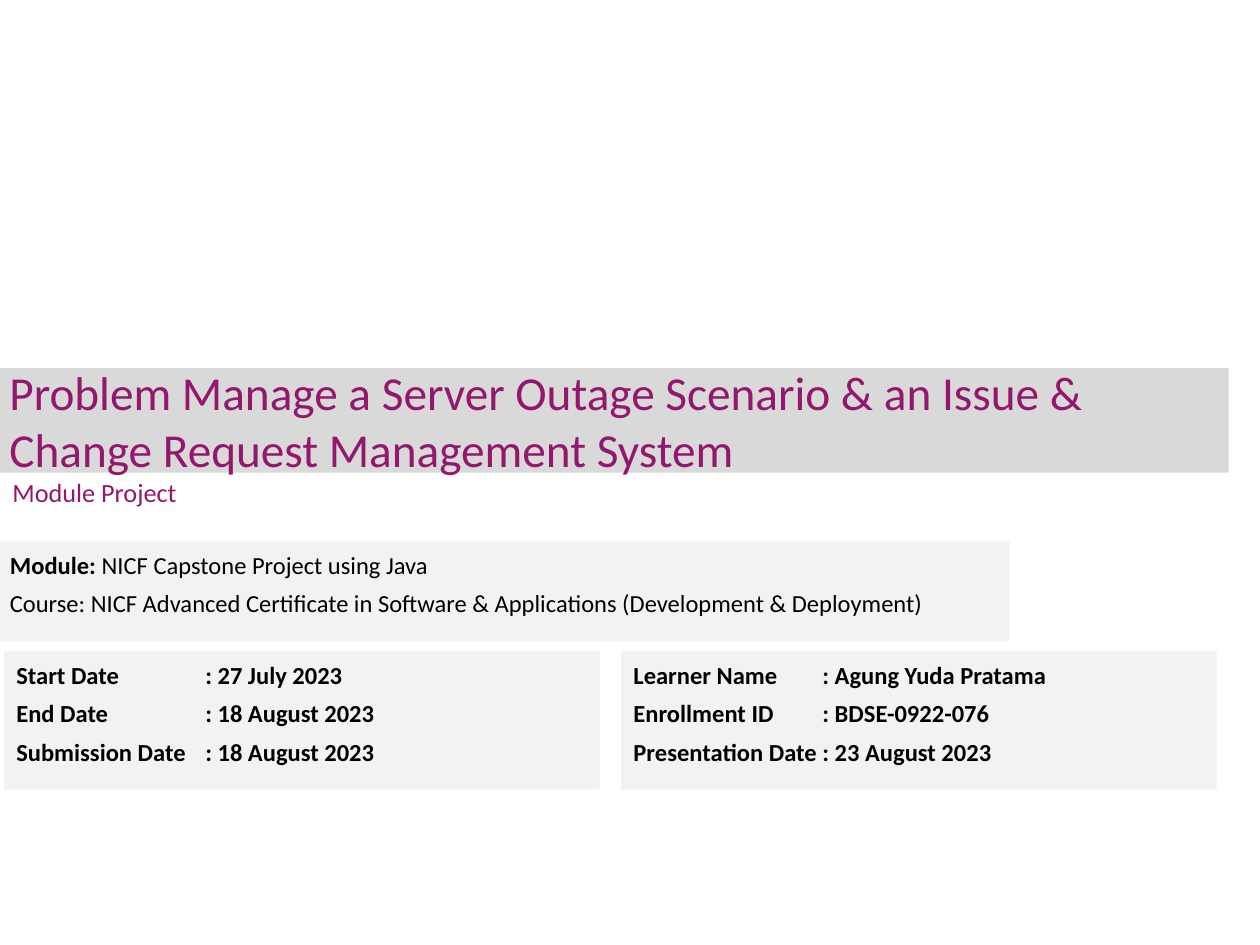
from lxml import etree
from pptx import Presentation
from pptx import util as u
from pptx.dml.color import RGBColor
from pptx.enum import shapes, text
from pptx.oxml.ns import qn

FONT = "Calibri"
PURPLE, BLACK = "93176C", "000000"
BAND_GREY, PANEL_GREY = "D9D9D9", "F2F2F2"
VALUE_TAB = u.Cm(3.81)
PANEL_TOP, PANEL_WIDTH, PANEL_HEIGHT = 13.13, 12.01, 2.79

DATES = [
    ("Start Date", ": 27 July 2023"),
    ("End Date", ": 18 August 2023"),
    ("Submission Date", ": 18 August 2023"),
]
LEARNER = [
    ("Learner Name", ": Agung Yuda Pratama"),
    ("Enrollment ID", ": BDSE-0922-076"),
    ("Presentation Date", ": 23 August 2023"),
]


def color(hex_code):
    return RGBColor.from_string(hex_code)


def add_run(paragraph, wording, size, hex_code, bold=False):
    run = paragraph.add_run()
    run.text = wording
    run.font.name = FONT
    run.font.size = u.Pt(size)
    run.font.bold = bold
    run.font.color.rgb = color(hex_code)


def add_tab_stop(paragraph, position):
    tabs = etree.SubElement(paragraph._p.get_or_add_pPr(), qn("a:tabLst"))
    etree.SubElement(tabs, qn("a:tab"), pos=str(int(position)), algn="l")


def format_title(title, wording):
    title.left, title.top = u.Cm(0), u.Cm(7.42)
    title.width, title.height = u.Cm(24.77), u.Cm(2.11)
    title.fill.solid()
    title.fill.fore_color.rgb = color(BAND_GREY)
    frame = title.text_frame
    frame.auto_size = text.MSO_AUTO_SIZE.NONE
    frame.word_wrap = True
    frame.vertical_anchor = text.MSO_ANCHOR.MIDDLE
    frame.margin_left = frame.margin_right = u.Cm(0.19)
    frame.margin_top = frame.margin_bottom = u.Cm(0.1)
    heading = frame.paragraphs[0]
    heading.alignment = text.PP_ALIGN.LEFT
    add_run(heading, wording, 27, PURPLE)


def add_subtitle(slide, wording):
    subtitle = slide.shapes.add_textbox(u.Cm(0), u.Cm(9.14), u.Cm(16.31), u.Cm(1.57))
    frame = subtitle.text_frame
    frame.word_wrap = True
    frame.vertical_anchor = text.MSO_ANCHOR.MIDDLE
    add_run(frame.paragraphs[0], wording, 15, PURPLE)


def add_panel(slide, left, top, width, height, lines):
    """Add a grey panel; each line is a list of (wording, bold) runs."""
    panel = slide.shapes.add_shape(
        shapes.MSO_SHAPE.RECTANGLE, u.Cm(left), u.Cm(top), u.Cm(width), u.Cm(height))
    panel.shadow.inherit = False
    panel.fill.solid()
    panel.fill.fore_color.rgb = color(PANEL_GREY)
    panel.line.fill.background()
    frame = panel.text_frame
    frame.word_wrap = True
    frame.vertical_anchor = text.MSO_ANCHOR.TOP
    for index, runs in enumerate(lines):
        paragraph = frame.add_paragraph() if index else frame.paragraphs[0]
        paragraph.alignment = text.PP_ALIGN.LEFT
        paragraph.line_spacing = u.Pt(18)
        paragraph.space_before = paragraph.space_after = u.Pt(2)
        add_tab_stop(paragraph, VALUE_TAB)
        for wording, bold in runs:
            add_run(paragraph, wording, 14, BLACK, bold)


def add_detail_panel(slide, left, details):
    lines = [[(f"{label}\t{value}", True)] for label, value in details]
    add_panel(slide, left, PANEL_TOP, PANEL_WIDTH, PANEL_HEIGHT, lines)


def main():
    deck = Presentation()
    deck.slide_width, deck.slide_height = u.Cm(25.4), u.Cm(19.05)
    slide = deck.slides.add_slide(deck.slide_layouts.get_by_name("Title Only"))
    format_title(
        slide.shapes.title,
        "Problem Manage a Server Outage Scenario & an Issue & "
        "Change Request Management System")
    add_subtitle(slide, "Module Project")
    add_detail_panel(slide, 0.08, DATES)
    add_panel(slide, -0.05, 10.92, 20.4, 2.01, [
        [("Module: ", True), ("NICF Capstone Project using Java", False)],
        [("Course: NICF Advanced Certificate in Software & Applications "
          "(Development & Deployment)", False)],
    ])
    add_detail_panel(slide, 12.52, LEARNER)
    deck.save("out.pptx")


if __name__ == "__main__":
    main()
